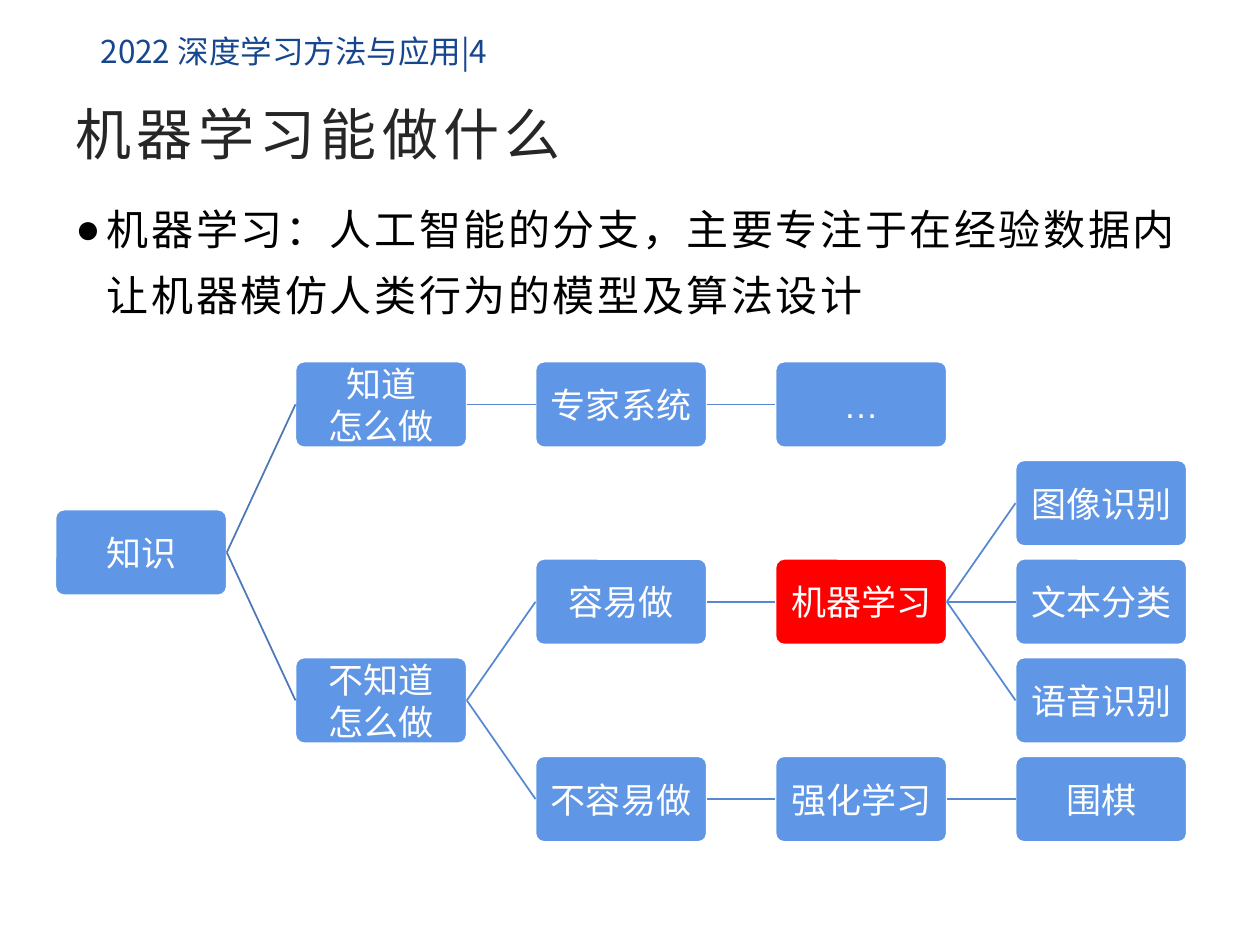
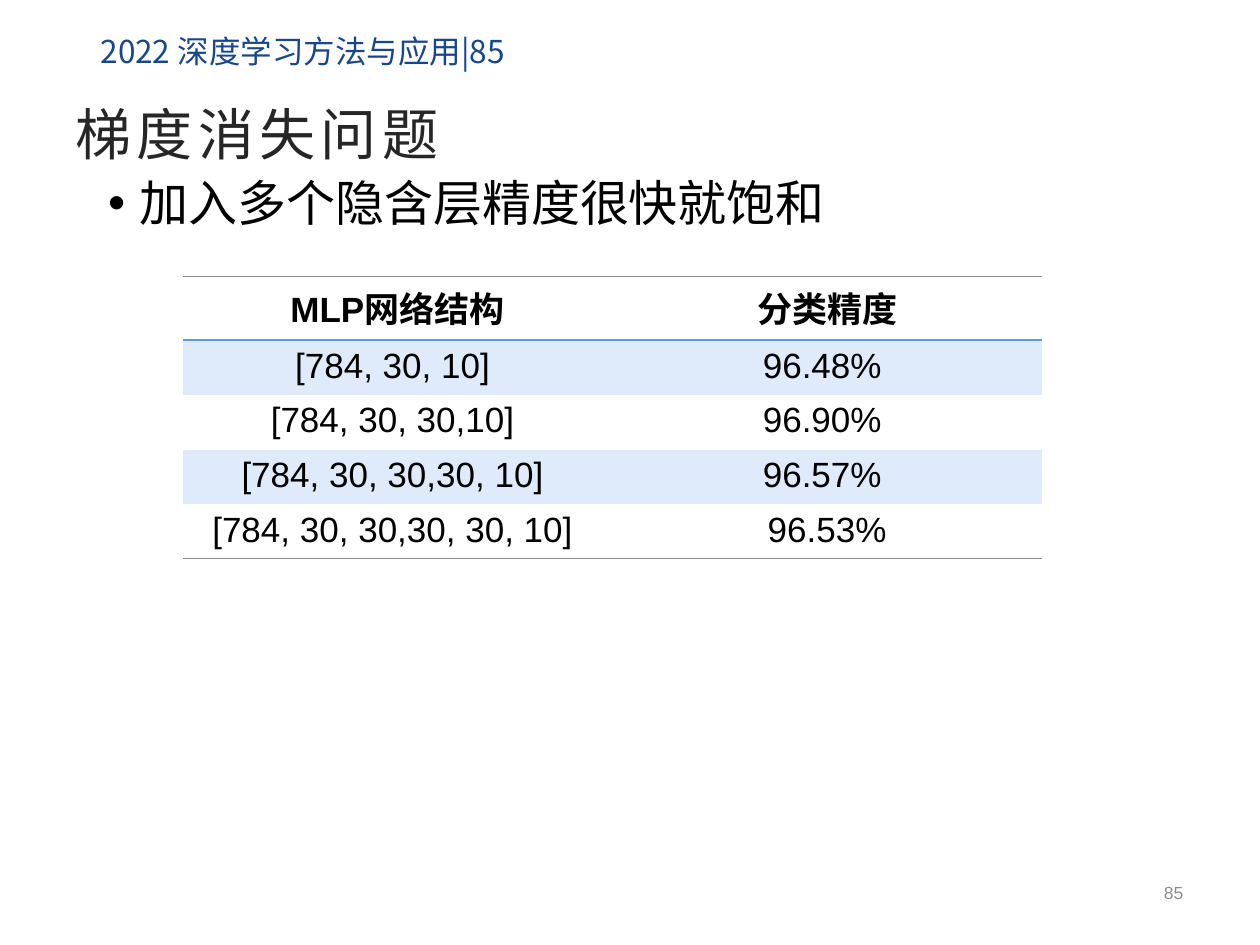
import pptx
import pptx.util
import pptx.dml.color
import pptx.enum.shapes
import pptx.enum.text
import pptx.oxml.ns
from dataclasses import dataclass
from lxml import etree

WIDE, HIGH = 10, 7.5
SANS, ARIAL, SERIF = "Noto Sans CJK SC", "Arial", "Times New Roman"
BLUE, RED, WHITE, BLACK = "6096E6", "FF0000", "FFFFFF", "000000"
NAVY, DARK, GREY, TINT = "16468D", "262626", "8C8C8C", "DFEAFA"
STEM, TWIG = "4D78B8", "5788D1"

ALIGN = pptx.enum.text.PP_ALIGN
MIDDLE = pptx.enum.text.MSO_ANCHOR.MIDDLE
inch = pptx.util.Inches
qn = pptx.oxml.ns.qn


@dataclass(frozen=True)
class Style:
    size: float
    font: str = ARIAL
    tint: str = BLACK
    bold: bool = False
    gap: float = 0  # letter spacing in points


@dataclass(frozen=True)
class Area:
    """A box given as shares of the slide's width and height."""
    left: float
    top: float
    wide: float
    high: float

    def place(self) -> tuple:
        return (inch(self.left * WIDE), inch(self.top * HIGH),
                inch(self.wide * WIDE), inch(self.high * HIGH))


@dataclass(frozen=True)
class Node:
    text: str
    col: int
    row: float
    root: int | None = None  # index of the parent node
    fill: str = BLUE


HEAD = Style(18, SANS, NAVY)
TITLE = Style(32, SANS, DARK, gap=3)
LABEL = Style(20, ARIAL, WHITE)


def color(code: str) -> pptx.dml.color.RGBColor:
    return pptx.dml.color.RGBColor.from_string(code)


def write(frame, text: str, style: Style, align=ALIGN.LEFT) -> None:
    """Fill a text frame and format every run."""
    frame.text = text
    for para in frame.paragraphs:
        para.alignment = align
        for run in para.runs:
            font = run.font
            font.size, font.bold = pptx.util.Pt(style.size), style.bold
            font.name, font.color.rgb = style.font, color(style.tint)
            props = run._r.get_or_add_rPr()
            if style.gap:
                props.set("spc", str(round(style.gap * 100)))
            face = etree.Element(qn("a:ea"), typeface=SANS)
            props.find(qn("a:latin")).addnext(face)


def add_text(slide, area: Area, text: str, style: Style,
             align=ALIGN.LEFT, wrap: bool = True):
    frame = slide.shapes.add_textbox(*area.place()).text_frame
    frame.word_wrap = wrap
    write(frame, text, style, align)
    return frame


def add_point(slide, area: Area, text: str, style: Style,
              mark: str, pitch: float) -> None:
    """Add one bulleted paragraph with a hanging indent."""
    para = add_text(slide, area, text, style).paragraphs[0]
    props = para._p.get_or_add_pPr()
    props.set("marL", str(inch(0.25)))
    props.set("indent", str(-inch(0.25)))
    etree.SubElement(props, qn("a:buFont"), typeface=ARIAL)
    etree.SubElement(props, qn("a:buChar"), char=mark)
    para.line_spacing = pitch


def add_slide(deck, title: str, page: int):
    """Start a slide with the shared header and title."""
    slide = deck.slides.add_slide(deck.slide_layouts[5])
    add_text(slide, Area(0.07, 0.027, 0.371, 0.053),
             f"2022 深度学习方法与应用|{page}", HEAD, wrap=False)
    head = slide.shapes.title
    head.left, head.top, head.width, head.height = Area(
        0.05, 0.09, 0.9, 0.102).place()
    frame = head.text_frame
    frame.auto_size = pptx.enum.text.MSO_AUTO_SIZE.NONE
    frame.vertical_anchor = MIDDLE
    write(frame, title, TITLE)
    return slide


# Knowledge tree
LEFT, TOP = 0.44, 2.87
COL, ROW = 1.905, 0.783
BOX = (1.36, 0.68)
TREE = [
    Node("知识", 0, 1.5),
    Node("知道\n怎么做", 1, 0, 0),
    Node("专家系统", 2, 0, 1),
    Node("…", 3, 0, 2),
    Node("不知道\n怎么做", 1, 3, 0),
    Node("容易做", 2, 2, 4),
    Node("机器学习", 3, 2, 5, RED),
    Node("图像识别", 4, 1, 6),
    Node("文本分类", 4, 2, 6),
    Node("语音识别", 4, 3, 6),
    Node("不容易做", 2, 4, 4),
    Node("强化学习", 3, 4, 10),
    Node("围棋", 4, 4, 11),
]


def add_node(slide, node: Node):
    box = slide.shapes.add_shape(
        pptx.enum.shapes.MSO_SHAPE.ROUNDED_RECTANGLE,
        inch(LEFT + node.col * COL), inch(TOP + node.row * ROW),
        *map(inch, BOX))
    box.adjustments[0] = 0.1
    box.shadow.inherit = False
    box.fill.solid()
    box.fill.fore_color.rgb = color(node.fill)
    box.line.color.rgb = color(WHITE)
    box.line.width = pptx.util.Pt(1)
    frame = box.text_frame
    frame.word_wrap = True
    frame.vertical_anchor = MIDDLE
    frame.margin_left = frame.margin_right = inch(0.03)
    frame.margin_top = frame.margin_bottom = inch(0.03)
    write(frame, node.text, LABEL, ALIGN.CENTER)
    return box


def add_link(slide, start, end, tint: str) -> None:
    """Join the right side of one box to the left side of another."""
    link = slide.shapes.add_connector(
        pptx.enum.shapes.MSO_CONNECTOR.STRAIGHT, 0, 0, 0, 0)
    link.begin_connect(start, 3)
    link.end_connect(end, 1)
    link.line.color.rgb = color(tint)
    link.line.width = pptx.util.Pt(1)
    etree.SubElement(link._element.spPr, qn("a:effectLst"))


def draw_tree(slide) -> None:
    boxes = [add_node(slide, node) for node in TREE]
    for node, box in zip(TREE, boxes):
        if node.root is not None:
            add_link(slide, boxes[node.root], box,
                     TWIG if node.root else STEM)


# Accuracy table
DATA = [
    ("MLP网络结构", "分类精度"),
    ("[784, 30, 10] ", "96.48% "),
    ("[784, 30, 30,10] ", "96.90% "),
    ("[784, 30, 30,30, 10] ", "96.57% "),
    ("[784, 30, 30,30, 30, 10] ", "96.53%"),
]
RULES = {0: (GREY, 0.5), 1: (BLUE, 1), len(DATA): (GREY, 0.5)}


def add_edge(cell, side: str, rule: tuple | None) -> None:
    props = cell._tc.get_or_add_tcPr()
    edge = etree.SubElement(props, qn(f"a:{side}"))
    if rule is None:
        etree.SubElement(edge, qn("a:noFill"))
        return
    tint, width = rule
    edge.set("w", str(pptx.util.Pt(width)))
    fill = etree.SubElement(edge, qn("a:solidFill"))
    etree.SubElement(fill, qn("a:srgbClr"), val=tint)


def draw_table(slide, area: Area) -> None:
    grid = slide.shapes.add_table(len(DATA), 2, *area.place()).table
    grid.first_row = grid.horz_banding = False
    for row, texts in enumerate(DATA):
        grid.rows[row].height = inch(0.41 if row else 0.51)
        for col, text in enumerate(texts):
            cell = grid.cell(row, col)
            write(cell.text_frame, text, Style(20, bold=row == 0),
                  ALIGN.CENTER)
            for side, rule in (("lnL", None), ("lnR", None),
                               ("lnT", RULES.get(row)),
                               ("lnB", RULES.get(row + 1))):
                add_edge(cell, side, rule)
            if row % 2:
                cell.fill.solid()
                cell.fill.fore_color.rgb = color(TINT)
            else:
                cell.fill.background()


def main() -> None:
    deck = pptx.Presentation()
    deck.slide_width, deck.slide_height = inch(WIDE), inch(HIGH)

    # Uses of machine learning
    slide = add_slide(deck, "机器学习能做什么", 4)
    add_point(slide, Area(0.05, 0.193, 0.9, 0.16),
              "机器学习：人工智能的分支，主要专注于在经验数据内"
              "让机器模仿人类行为的模型及算法设计",
              Style(24, SERIF, gap=1.5), "●", 1.3)
    draw_tree(slide)

    # Vanishing gradients
    slide = add_slide(deck, "梯度消失问题", 85)
    draw_table(slide, Area(0.145, 0.292, 0.682, 0.287))
    frame = add_text(slide, Area(0.728, 0.921, 0.221, 0.047), "85",
                     Style(10, tint=GREY), ALIGN.RIGHT)
    frame.vertical_anchor = MIDDLE
    add_point(slide, Area(0.076, 0.183, 0.862, 0.08),
              "加入多个隐含层精度很快就饱和", Style(28, SANS), "•", 0.9)

    deck.save("out.pptx")


if __name__ == "__main__":
    main()
